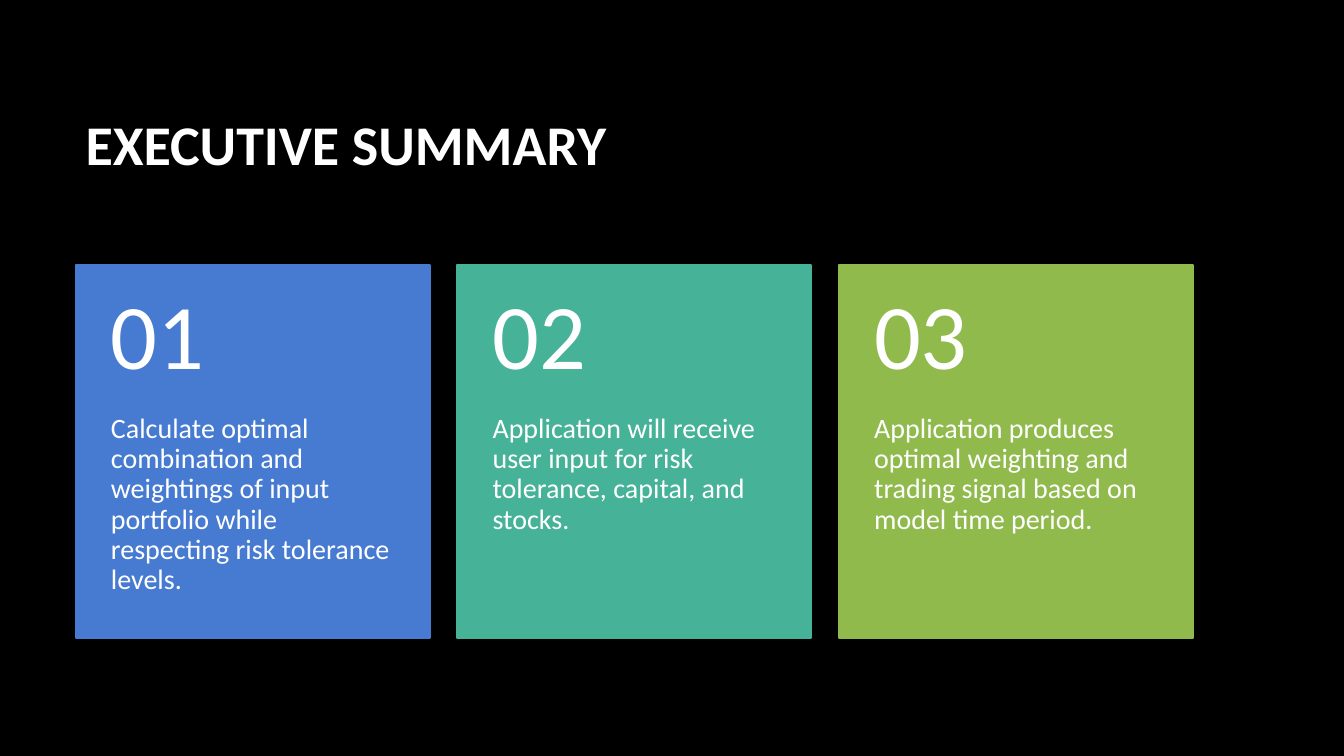
from pptx import Presentation
from pptx.dml.color import RGBColor
from pptx.enum.shapes import MSO_SHAPE
from pptx.enum.text import MSO_ANCHOR
from pptx.util import Inches, Pt

RECTANGLE = MSO_SHAPE.RECTANGLE
TOP, MIDDLE = MSO_ANCHOR.TOP, MSO_ANCHOR.MIDDLE

COLORS = {
    "background": "000000",
    "text": "FFFFFF",
    "blue": "477BD1",
    "teal": "46B298",
    "green": "90BA4C",
}

SUMMARY = [
    ("blue", "Calculate optimal combination and weightings of input portfolio "
             "while respecting risk tolerance levels."),
    ("teal", "Application will receive user input for risk tolerance, capital, "
             "and stocks."),
    ("green", "Application produces optimal weighting and trading signal based "
              "on model time period."),
]


def color(name):
    return RGBColor.from_string(COLORS[name])


class SummarySlide:
    """Three columns of cards, each five rows tall, below a title."""

    FONT = "Calibri"
    LEFT, WIDTH, GAP, COLUMNS = 0.75, 11.08, 0.275, 3
    TITLE_TOP, TITLE_HEIGHT = 0.67, 1.59
    CARDS_TOP, ROW = 2.63, 0.74
    NUMBER_ROWS, CARD_ROWS = 2, 5
    COLUMN = (WIDTH - GAP * (COLUMNS - 1)) / COLUMNS

    def __init__(self, deck):
        self.slide = deck.slides.add_slide(deck.slide_layouts[6])
        background = self.slide.background.fill
        background.solid()
        background.fore_color.rgb = color("background")

    def cell(self, column, row, rows):
        """Return left, top, width and height of a block of card rows."""
        left = self.LEFT + column * (self.COLUMN + self.GAP)
        top = self.CARDS_TOP + row * self.ROW
        return left, top, self.COLUMN, rows * self.ROW

    def text(self, wording, area, *, size, bold=False, anchor=TOP,
             insets=(0.1, 0.05, 0.1, 0.05), line_spacing=0.9):
        frame = self.slide.shapes.add_textbox(*map(Inches, area)).text_frame
        frame.word_wrap = True
        frame.vertical_anchor = anchor
        (frame.margin_left, frame.margin_top,
         frame.margin_right, frame.margin_bottom) = map(Inches, insets)
        paragraph = frame.paragraphs[0]
        paragraph.text = wording
        paragraph.line_spacing = line_spacing
        font = paragraph.font
        font.name, font.size, font.bold = self.FONT, Pt(size), bold
        font.color.rgb = color("text")

    def title(self, wording):
        area = self.LEFT, self.TITLE_TOP, self.WIDTH, self.TITLE_HEIGHT
        self.text(wording, area, size=40, bold=True, anchor=MIDDLE)

    def panel(self, area, fill):
        panel = self.slide.shapes.add_shape(RECTANGLE, *map(Inches, area))
        panel.shadow.inherit = False
        panel.fill.solid()
        panel.fill.fore_color.rgb = color(fill)
        panel.line.color.rgb = color(fill)
        panel.line.width = Pt(1.5)

    def card(self, column, fill, statement):
        self.panel(self.cell(column, 0, self.CARD_ROWS), fill)
        statement_rows = self.CARD_ROWS - self.NUMBER_ROWS
        self.text(statement, self.cell(column, self.NUMBER_ROWS, statement_rows),
                  size=20, insets=(0.35, 0, 0.35, 0.36))
        self.text(f"{column + 1:02}", self.cell(column, 0, self.NUMBER_ROWS),
                  size=66, anchor=MIDDLE, insets=(0.35, 0.18, 0.35, 0.18))


def main():
    deck = Presentation()
    deck.slide_width, deck.slide_height = Inches(13.33), Inches(7.5)
    summary = SummarySlide(deck)
    summary.title("EXECUTIVE SUMMARY")
    for column, (fill, statement) in enumerate(SUMMARY):
        summary.card(column, fill, statement)
    deck.save("out.pptx")


if __name__ == "__main__":
    main()
